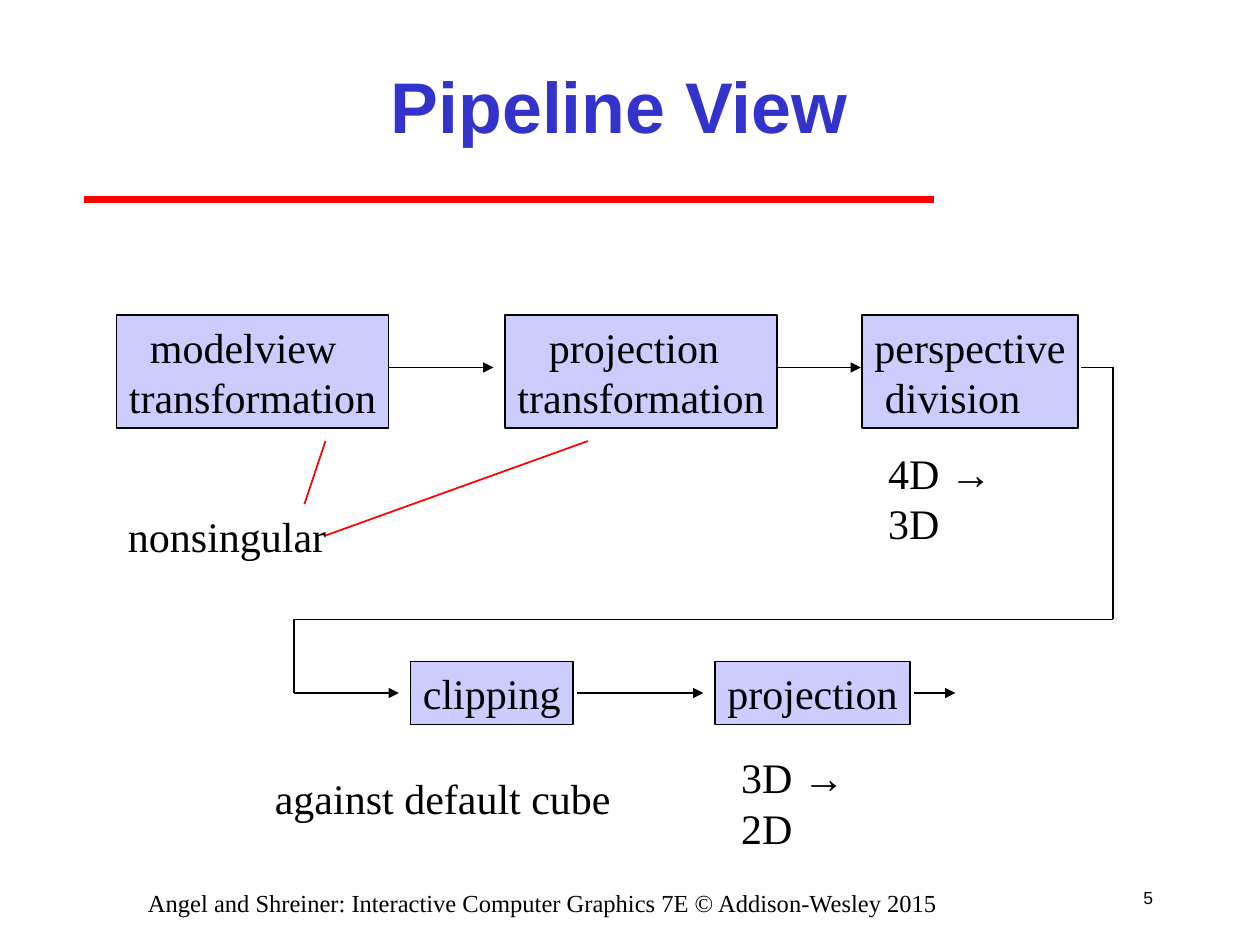
from itertools import pairwise

from lxml.etree import SubElement
from pptx import Presentation
from pptx.dml.color import RGBColor
from pptx.enum.shapes import MSO_CONNECTOR as Connector, MSO_SHAPE as Shape
from pptx.enum.text import MSO_ANCHOR as Anchor, PP_ALIGN as Align
from pptx.oxml.ns import qn
from pptx.util import Inches, Pt

SERIF, SANS = "Times New Roman", "Arial"
BLACK, RED, BLUE, LILAC = "000000", "FF0000", "3333CC", "CCCCFF"

deck = Presentation()
deck.slide_width, deck.slide_height = Inches(10), Inches(7.5)
slide = deck.slides.add_slide(deck.slide_layouts[6])
cell = deck.slide_width / 120  # grid of 120 columns by 90 rows
color = RGBColor.from_string


def write(shape, text, size=24, font=SERIF, hue=BLACK, bold=False,
          align=Align.LEFT, anchor=Anchor.TOP, wrap=False):
    """Fill the shape with text; an arrow sign becomes its own sans-serif run."""
    frame = shape.text_frame
    frame.word_wrap, frame.vertical_anchor = wrap, anchor
    for number, line in enumerate(text.split("\n")):
        paragraph = frame.add_paragraph() if number else frame.paragraphs[0]
        paragraph.alignment = align
        for part in line.replace("→", "|→|").split("|"):
            run = paragraph.add_run()
            run.text = part
            run.font.name = SANS if part == "→" else font
            run.font.size, run.font.bold = Pt(size), bold
            run.font.color.rgb = color(hue)


def connect(start, end, hue=BLACK, width=1, arrow=False):
    line = slide.shapes.add_connector(
        Connector.STRAIGHT, *(int(n * cell) for n in (*start, *end)))
    line.line.color.rgb, line.line.width = color(hue), Pt(width)
    if arrow:
        SubElement(line.line._get_or_add_ln(), qn("a:tailEnd"), type="triangle")
    SubElement(line._element.spPr, qn("a:effectLst"))


connect((8, 19), (89, 19), RED, 4)

# Stages: text, left, top, width, height, indents of the lines in points
stages = [
    ("modelview\ntransformation", 11.1, 30, 25.9, 10.8, (12, 0)),
    ("projection\ntransformation", 48.1, 30, 25.9, 10.8, (18, 0)),
    ("perspective\ndivision", 82.1, 30, 20.6, 10.8, (0, 6)),
    ("clipping", 39.1, 63, 15.5, 6, (0,)),
    ("projection", 68.1, 63, 18.6, 6, (0,)),
]
for text, *place, indents in stages:
    stage = slide.shapes.add_shape(Shape.RECTANGLE, *(int(n * cell) for n in place))
    stage.shadow.inherit = False
    stage.fill.solid()
    stage.fill.fore_color.rgb = color(LILAC)
    stage.line.color.rgb, stage.line.width = color(BLACK), Pt(1)
    write(stage, text)
    for paragraph, indent in zip(stage.text_frame.paragraphs, indents):
        paragraph._p.get_or_add_pPr().set("marL", str(Pt(indent)))

# Flow between the stages: row, then start and end columns
for row, start, end in [(35, 37, 47), (35, 74, 82), (66, 55, 67), (66, 87, 91)]:
    connect((start, row), (end, row), arrow=True)

detour = [(103, 35), (106, 35), (106, 59), (28, 59), (28, 66), (38, 66)]
for start, end in pairwise(detour):
    connect(start, end, arrow=end == detour[-1])

connect((56, 42), (31, 51), RED)
connect((31, 42), (29, 48), RED)

labels = [
    ("Pipeline View", 18, 3, 82, 14,
     dict(size=41, font=SANS, hue=BLUE, bold=True, align=Align.CENTER,
          anchor=Anchor.MIDDLE, wrap=True)),
    ("nonsingular", 11, 48, 22, 6, dict(wrap=True)),
    ("4D → 3D", 83.4, 42, 17.4, 6, dict(wrap=True)),
    ("against default cube", 25, 73, 35, 6, dict(wrap=True)),
    ("3D → 2D", 69.4, 71, 17.4, 6, dict(wrap=True)),
    ("Angel and Shreiner: Interactive Computer Graphics 7E © Addison-Wesley 2015",
     5.7, 84, 92, 3, dict(size=14, align=Align.CENTER, wrap=True)),
    ("5", 106, 83, 5, 5,
     dict(size=10, font=SANS, align=Align.RIGHT, anchor=Anchor.MIDDLE)),
]
for text, *place, style in labels:
    write(slide.shapes.add_textbox(*(int(n * cell) for n in place)), text, **style)

deck.save("out.pptx")
